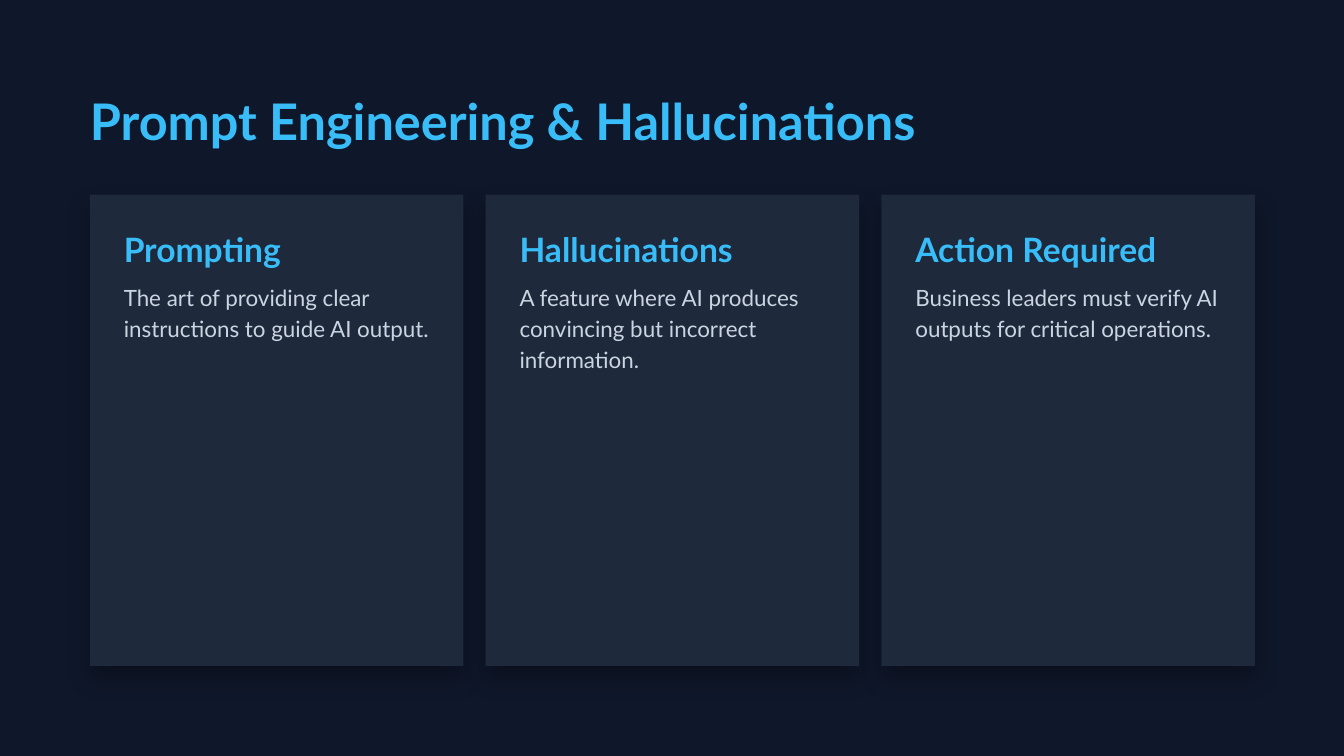
"""Build a slide with a title and three shadowed text cards."""
from lxml import etree
from pptx import Presentation, util as u
from pptx.dml.color import RGBColor
from pptx.enum import shapes, text
from pptx.oxml import ns

TITLE = "Prompt Engineering & Hallucinations"
CARDS = [
    ("Prompting", "The art of providing clear instructions to guide AI output."),
    ("Hallucinations", "A feature where AI produces convincing but incorrect information."),
    ("Action Required", "Business leaders must verify AI outputs for critical operations."),
]
BACK, CARD, ACCENT, BODY = "0F172A", "1E293B", "38BDF8", "CBD5E1"
FONT = "Lato"
LEFT, TOP, WIDTH, HEIGHT, GAP, PAD = 1.7, 3.68, 7.06, 8.91, 0.42, 0.64


def paint(fill, color):
    fill.solid()
    fill.fore_color.rgb = RGBColor.from_string(color)


def add_shadow(sp, blur=12, dist=6, angle=90, alpha=30):
    sp.shadow.inherit = False
    effects = sp._element.spPr.find(ns.qn("a:effectLst"))
    outer = etree.SubElement(
        effects, ns.qn("a:outerShdw"), blurRad=str(u.Pt(blur)), dist=str(u.Pt(dist)),
        dir=str(angle * 60000), algn="ctr", rotWithShape="0")
    color = etree.SubElement(outer, ns.qn("a:srgbClr"), val="000000")
    etree.SubElement(color, ns.qn("a:alpha"), val=str(alpha * 1000))


def add_card(s, x):
    sp = s.shapes.add_shape(shapes.MSO_SHAPE.RECTANGLE,
                            u.Cm(x), u.Cm(TOP), u.Cm(WIDTH), u.Cm(HEIGHT))
    paint(sp.fill, CARD)
    sp.line.fill.background()
    add_shadow(sp)


def add_text(s, content, x, y, w, h, size, leading, color=ACCENT, bold=False):
    tf = s.shapes.add_textbox(u.Cm(x), u.Cm(y), u.Cm(w), u.Cm(h)).text_frame
    tf.margin_left = tf.margin_top = tf.margin_right = tf.margin_bottom = 0
    tf.word_wrap = True
    tf.vertical_anchor = text.MSO_ANCHOR.TOP
    p = tf.paragraphs[0]
    p.line_spacing = u.Pt(leading)
    r = p.add_run()
    r.text = content
    r.font.name, r.font.size, r.font.bold = FONT, u.Pt(size), bold
    paint(r.font.fill, color)


def main():
    prs = Presentation()
    prs.slide_width, prs.slide_height = u.Cm(25.4), u.Cm(14.29)
    s = prs.slides.add_slide(prs.slide_layouts[6])
    paint(s.background.fill, BACK)

    lefts = [LEFT + i * (WIDTH + GAP) for i in range(len(CARDS))]
    for x in lefts:
        add_card(s, x)

    add_text(s, TITLE, LEFT, 1.7, 22.45, 1.14, size=27, leading=32.4, bold=True)
    for x, (heading, body) in zip(lefts, CARDS):
        add_text(s, heading, x + PAD, TOP + PAD, 5.9, 0.76, size=18, leading=21.6, bold=True)
        add_text(s, body, x + PAD, 5.28, 5.8, 1.78, size=12, leading=16.8, color=BODY)

    prs.save("out.pptx")


if __name__ == "__main__":
    main()
